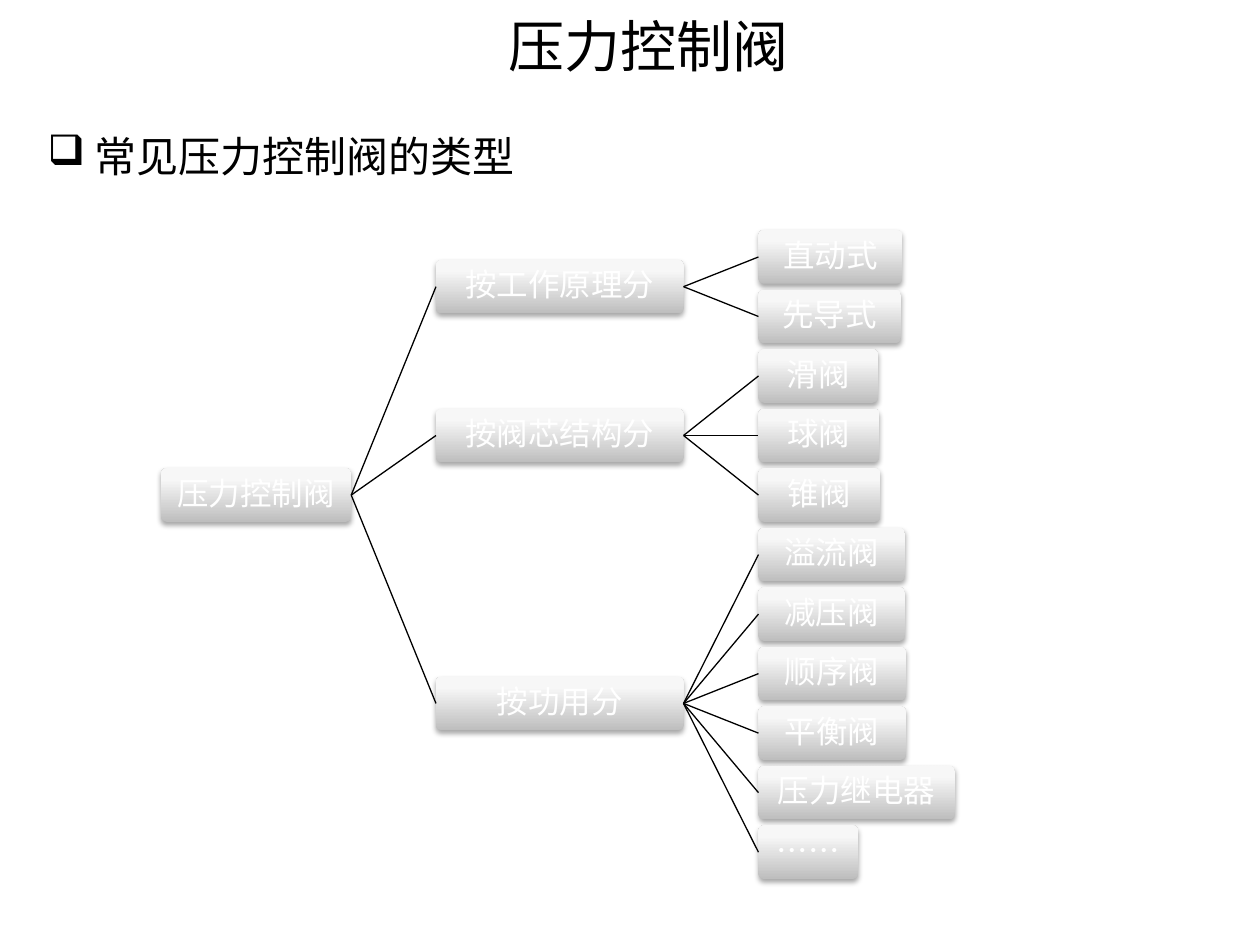
from pptx import Presentation
from pptx import util as u
from pptx.dml.color import RGBColor
from pptx.enum import shapes, text
from pptx.oxml import parse_xml
from pptx.oxml.ns import nsdecls, qn

FONT = "Noto Sans CJK SC"
BOX_H = 1.08
ROW_TOP, ROW_PITCH = 4.64, 1.2
ROOT_X, GROUP_X, LEAF_X = 3.25, 8.79, 15.29
ROOT_W, GROUP_W = 3.83, 4.99
ROOT = "压力控制阀"
GROUPS = [
    ("按工作原理分", [("直动式", 2.9), ("先导式", 2.87)]),
    ("按阀芯结构分", [("滑阀", 2.41), ("球阀", 2.44), ("锥阀", 2.46)]),
    ("按功用分", [("溢流阀", 2.95), ("减压阀", 2.95), ("顺序阀", 2.97),
              ("平衡阀", 2.97), ("压力继电器", 3.96), ("……", 2.01)]),
]
STOPS = [(0, "BEBEBE"), (80, "F7F7F7"), (100, "F8F8F8")]


def color(value):
    return RGBColor.from_string(value)


def add_xml(parent, xml):
    parent.append(parse_xml(xml.replace(">", f" {nsdecls('a')}>", 1)))


def write(tf, words, size, fill, align):
    tf.text = words
    p = tf.paragraphs[0]
    p.alignment = align
    r = p.runs[0]
    r.font.size = u.Pt(size)
    r.font.color.rgb = color(fill)
    r.font.name = FONT
    ea = r.font._element.makeelement(qn("a:ea"), {"typeface": FONT})
    r.font._element.append(ea)
    return p


def add_title(slide):
    sp = slide.shapes.title
    sp.left, sp.top, sp.width, sp.height = u.Cm(4.09), u.Cm(0.05), u.Cm(17.98), u.Cm(1.73)
    tf = sp.text_frame
    tf.vertical_anchor = text.MSO_ANCHOR.MIDDLE
    write(tf, ROOT, 32, "000000", text.PP_ALIGN.CENTER)


def add_heading(slide):
    sp = slide.shapes.add_textbox(u.Cm(0.71), u.Cm(2.51), u.Cm(24.08), u.Cm(1.4))
    tf = sp.text_frame
    tf.word_wrap = True
    p = write(tf, "常见压力控制阀的类型", 24, "000000", text.PP_ALIGN.JUSTIFY)
    p.space_before = u.Pt(4.8)
    pPr = p._p.get_or_add_pPr()
    pPr.set("marL", str(u.Cm(0.95)))
    pPr.set("indent", str(u.Cm(-0.95)))
    add_xml(pPr, '<a:buChar char="❑"></a:buChar>')


def add_box(slide, words, x, y, width):
    sp = slide.shapes.add_shape(shapes.MSO_SHAPE.ROUNDED_RECTANGLE,
                                u.Cm(x), u.Cm(y), u.Cm(width), u.Cm(BOX_H))
    sp.adjustments[0] = 0.1
    spPr = sp._element.spPr
    stops = "".join(f'<a:gs pos="{pos * 1000}"><a:srgbClr val="{c}"/></a:gs>' for pos, c in STOPS)
    add_xml(spPr, f'<a:gradFill rotWithShape="1"><a:gsLst>{stops}</a:gsLst>'
                  '<a:lin ang="16200000" scaled="0"/></a:gradFill>')
    sp.line.fill.background()
    add_xml(spPr, f'<a:effectLst><a:outerShdw blurRad="{u.Pt(3.1)}" dist="{u.Pt(1.8)}" '
                  'dir="5400000" rotWithShape="0"><a:srgbClr val="000000">'
                  '<a:alpha val="35000"/></a:srgbClr></a:outerShdw></a:effectLst>')
    tf = sp.text_frame
    tf.word_wrap = True
    tf.vertical_anchor = text.MSO_ANCHOR.MIDDLE
    tf.margin_left = tf.margin_right = tf.margin_top = tf.margin_bottom = u.Cm(0.06)
    p = write(tf, words, 18, "FFFFFF", text.PP_ALIGN.CENTER)
    p.line_spacing = 0.9
    p.space_after = u.Pt(6.3)
    return sp


def add_branch(slide, parent, child):
    line = slide.shapes.add_connector(shapes.MSO_CONNECTOR.STRAIGHT, 0, 0, 0, 0)
    line.begin_connect(parent, 3)
    line.end_connect(child, 1)
    line.line.color.rgb = color("000000")
    line.line.width = u.Pt(0.75)
    add_xml(line._element.spPr, "<a:effectLst></a:effectLst>")


def add_tree(slide):
    row = 0
    group_tops = []
    for _, leaves in GROUPS:
        group_tops.append(ROW_TOP + ROW_PITCH * (row + (len(leaves) - 1) / 2))
        row += len(leaves)
    root = add_box(slide, ROOT, ROOT_X, (group_tops[0] + group_tops[-1]) / 2, ROOT_W)

    row = 0
    for (name, leaves), top in zip(GROUPS, group_tops):
        group = add_box(slide, name, GROUP_X, top, GROUP_W)
        add_branch(slide, root, group)
        for leaf_name, width in leaves:
            leaf = add_box(slide, leaf_name, LEAF_X, ROW_TOP + ROW_PITCH * row, width)
            add_branch(slide, group, leaf)
            row += 1


def main():
    prs = Presentation()
    prs.slide_width, prs.slide_height = u.Cm(25.4), u.Cm(19.05)
    slide = prs.slides.add_slide(prs.slide_layouts[5])
    add_title(slide)
    add_heading(slide)
    add_tree(slide)
    prs.save("out.pptx")


if __name__ == "__main__":
    main()
